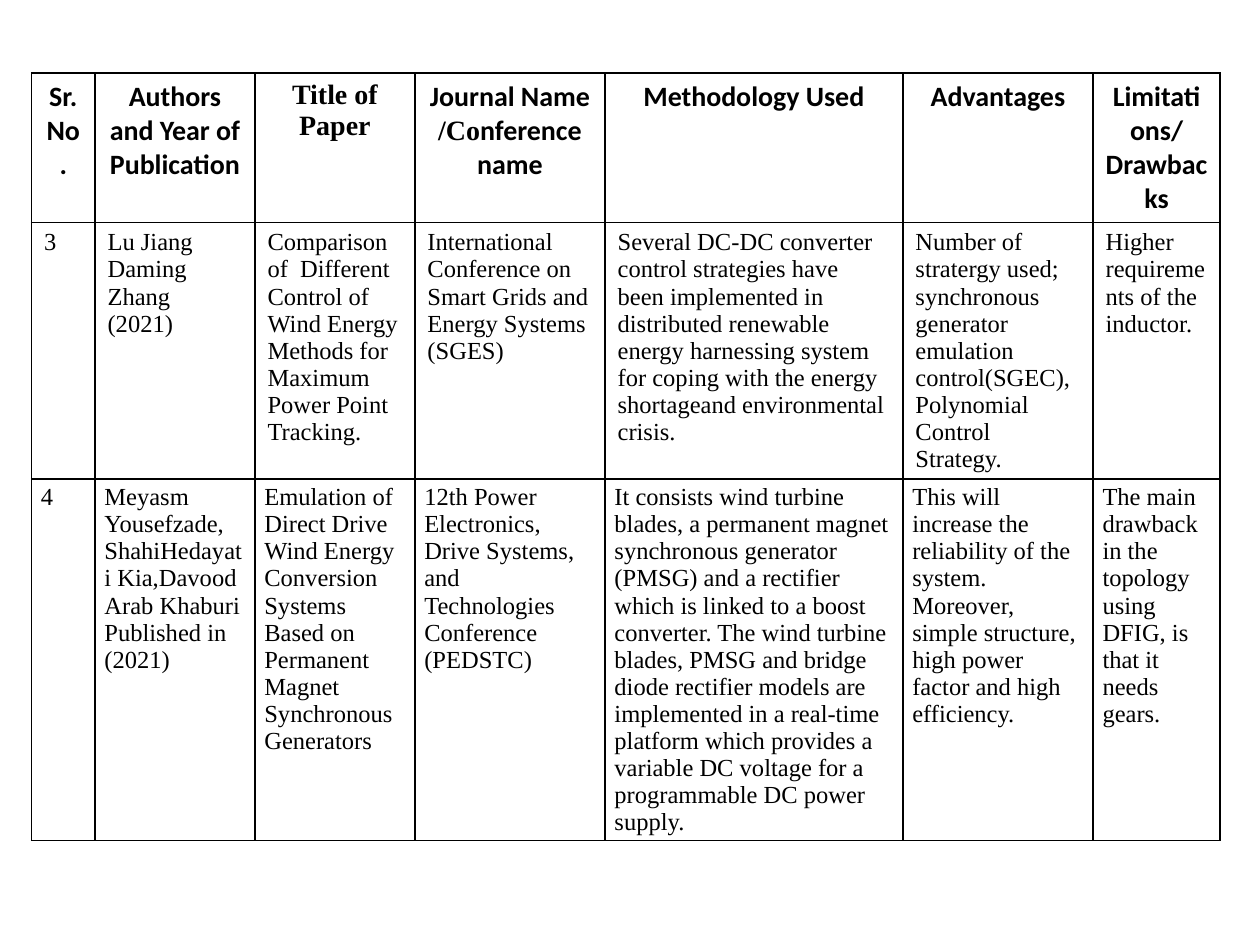
from dataclasses import dataclass

import pptx
import pptx.dml.color
import pptx.enum.text
import pptx.oxml
import pptx.oxml.ns
import pptx.util

Pt = pptx.util.Pt
ALIGN = pptx.enum.text.PP_ALIGN
BLACK = "000000"
SANS, SERIF = "Calibri", "Times New Roman"

COLUMN_WIDTHS = [36.3, 91.4, 91.4, 108.7, 170.2, 108.7, 72.6]
FRAME_HEIGHT = 452


@dataclass
class Span:
    text: str
    font: str


@dataclass
class RowStyle:
    height: float
    size: float
    bold: bool
    align: ALIGN
    margin_x: float = 7.2
    margin_y: float = 3.6


# A cell is a list of paragraphs, and a paragraph is a list of spans
Cell = list[list[Span]]


def cell_text(font: str, *lines: str) -> Cell:
    return [[Span(line, font)] for line in lines]


HEADER = [
    cell_text(SANS, "Sr. No."),
    cell_text(SANS, "Authors and Year of Publication"),
    cell_text(SERIF, "Title of Paper"),
    [[Span("Journal Name", SANS)],
     [Span("/Co", SERIF), Span("nference name", SANS)]],
    cell_text(SANS, "Methodology Used"),
    cell_text(SANS, "Advantages"),
    cell_text(SANS, "Limitations/ Drawbacks"),
]

PAPER_3 = [
    cell_text(SERIF, "3"),
    cell_text(SERIF, "Lu Jiang", "Daming Zhang", "(2021)"),
    cell_text(SERIF, "Comparison of  Different Control of Wind Energy Methods "
              "for Maximum Power Point Tracking."),
    cell_text(SERIF, "International Conference on Smart Grids and Energy Systems (SGES)"),
    cell_text(SERIF, "Several DC-DC converter control strategies have been implemented in "
              "distributed renewable energy harnessing system for coping with the energy "
              "shortageand environmental crisis."),
    cell_text(SERIF, "Number of stratergy used; synchronous generator emulation "
              "control(SGEC),Polynomial Control Strategy."),
    cell_text(SERIF, "Higher requirements of the", "inductor."),
]

PAPER_4 = [
    cell_text(SERIF, "4"),
    cell_text(SERIF, "Meyasm Yousefzade, ShahiHedayati Kia,Davood Arab Khaburi",
              "Published in (2021)"),
    cell_text(SERIF, "Emulation of Direct Drive Wind Energy Conversion Systems Based on "
              "Permanent Magnet Synchronous Generators"),
    cell_text(SERIF, "12th Power Electronics, Drive Systems, and Technologies "
              "Conference (PEDSTC)"),
    cell_text(SERIF, "It consists wind turbine blades, a permanent magnet synchronous "
              "generator (PMSG) and a rectifier which is linked to a boost converter. "
              "The wind turbine blades, PMSG and bridge diode rectifier models are "
              "implemented in a real-time platform which provides a variable DC voltage "
              "for a programmable DC power supply."),
    cell_text(SERIF, "This will increase the reliability of the system. Moreover, simple "
              "structure, high power factor and high efficiency."),
    cell_text(SERIF, "The main drawback in the topology using DFIG, is that it needs gears."),
]

ROWS = [
    (RowStyle(68, 16, True, ALIGN.CENTER), HEADER),
    (RowStyle(145, 14, False, ALIGN.LEFT), PAPER_3),
    (RowStyle(158, 14, False, ALIGN.LEFT, 5.4, 2.7), PAPER_4),
]


def colour(code: str) -> pptx.dml.color.RGBColor:
    return pptx.dml.color.RGBColor.from_string(code)


def draw_borders(cell, code: str, width: float) -> None:
    properties = cell._tc.get_or_add_tcPr()
    for side in ("lnL", "lnR", "lnT", "lnB"):
        properties.append(pptx.oxml.parse_xml(
            f'<a:{side} {pptx.oxml.ns.nsdecls("a")} w="{int(Pt(width))}">'
            f'<a:solidFill><a:srgbClr val="{code}"/></a:solidFill></a:{side}>'))


def fill_cell(cell, content: Cell, style: RowStyle) -> None:
    draw_borders(cell, BLACK, 1)
    cell.fill.background()
    cell.margin_left = cell.margin_right = Pt(style.margin_x)
    cell.margin_top = cell.margin_bottom = Pt(style.margin_y)
    frame = cell.text_frame
    for index, spans in enumerate(content):
        para = frame.add_paragraph() if index else frame.paragraphs[0]
        para.alignment = style.align
        for span in spans:
            run = para.add_run()
            run.text = span.text
            run.font.name = span.font
            run.font.size = Pt(style.size)
            run.font.bold = style.bold
            run.font.color.rgb = colour(BLACK)


def draw_table(page) -> None:
    frame = page.shapes.add_table(len(ROWS), len(COLUMN_WIDTHS), Pt(18), Pt(41.8),
                                  Pt(sum(COLUMN_WIDTHS)), Pt(FRAME_HEIGHT))
    table = frame.table
    table.first_row = table.horz_banding = False
    for column, width in zip(table.columns, COLUMN_WIDTHS):
        column.width = Pt(width)
    for row, (style, contents) in zip(table.rows, ROWS):
        row.height = Pt(style.height)
        for cell, content in zip(row.cells, contents):
            fill_cell(cell, content, style)
    # Rows grow with their text, so the frame is taller than their minimum
    frame.height = Pt(FRAME_HEIGHT)


def main() -> None:
    deck = pptx.Presentation()
    deck.slide_width, deck.slide_height = Pt(720), Pt(540)
    page = deck.slides.add_slide(deck.slide_layouts[6])
    draw_table(page)
    deck.save("out.pptx")


if __name__ == "__main__":
    main()
